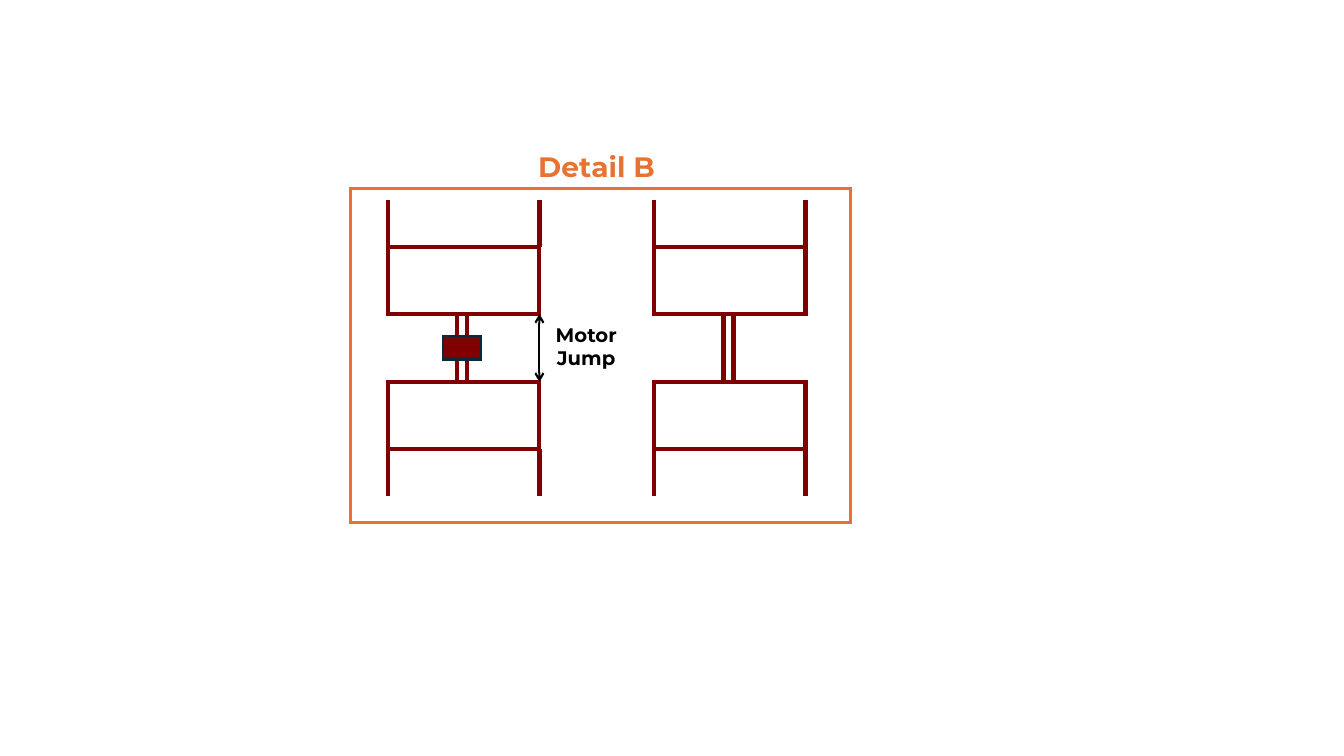
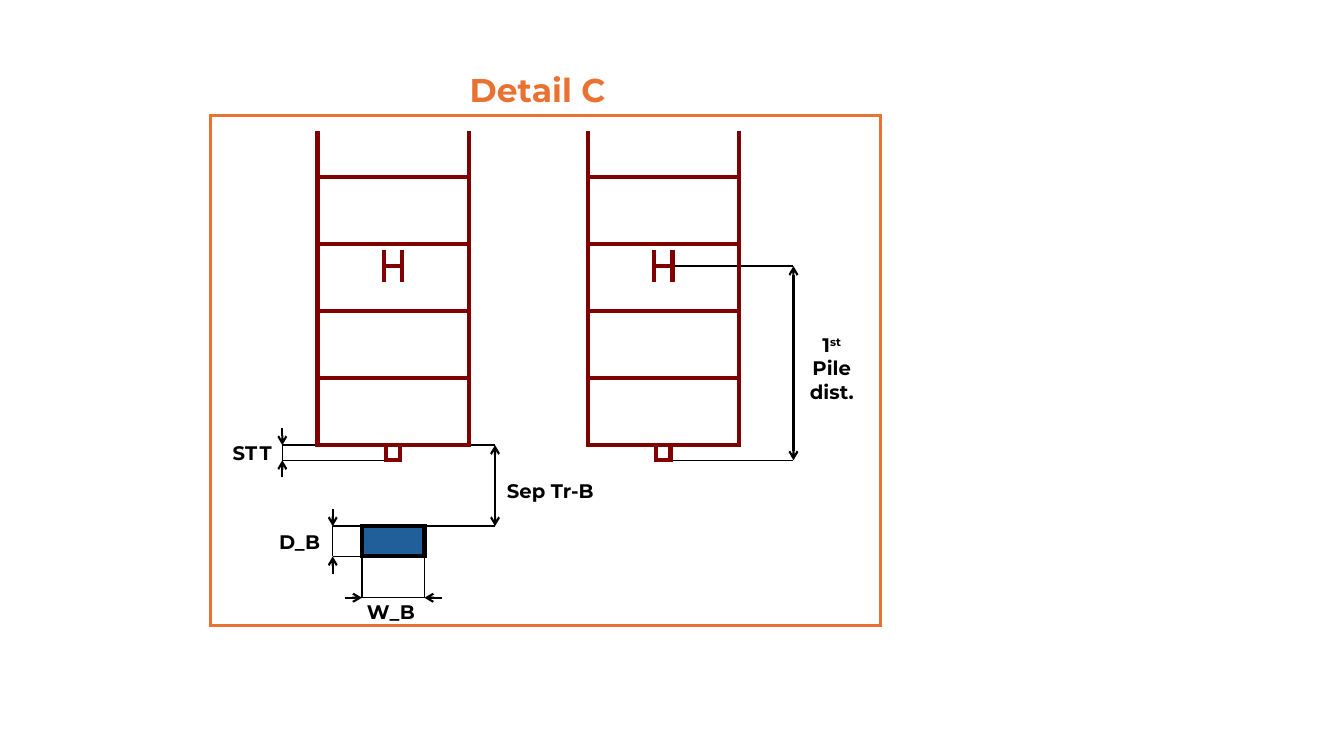
import pptx
import pptx.util
import pptx.dml.color
import pptx.enum.shapes
import pptx.enum.text
import pptx.oxml.ns
import lxml.etree

# Shared styles
COLORS = {"steel": "800000", "frame": "E97132", "ink": "000000",
          "motor_edge": "092A39", "barge": "215F9A"}
# Line styles: colour and width in points
STEEL = ("steel", 3)
FRAME = ("frame", 2.25)
MOTOR_EDGE = ("motor_edge", 1.5)
BARGE_EDGE = ("ink", 3)
DIMENSION = ("ink", 1.5)
EXTENSION = ("ink", 1)
BOTH_ENDS = ("headEnd", "tailEnd")
END_ONLY = ("tailEnd",)
LABEL_FORMAT = {"name": "Montserrat", "bold": True}
LABEL_SIZE = 14
SUPERSCRIPT = 30000

presentation = pptx.Presentation()
presentation.slide_width = pptx.util.Inches(13.33)
presentation.slide_height = pptx.util.Inches(7.5)
blank_layout = presentation.slide_layouts[6]

# Grid: 75 rows of square cells; every length counts cells
CELL = presentation.slide_height / 75
BAY_WIDTH, BAY_HEIGHT = 15, 6.64
LEG = 4.65  # cut-off chord beyond the last bay
ARROW_TAIL = 1.7
LABEL_HEIGHT = 3.4


def add_box(slide, left, top, width, height, line=STEEL, fill=None):
    shape = slide.shapes.add_shape(
        pptx.enum.shapes.MSO_SHAPE.RECTANGLE,
        *[round(value * CELL) for value in (left, top, width, height)])
    shape.shadow.inherit = False
    color, points = line
    shape.line.color.rgb = pptx.dml.color.RGBColor.from_string(COLORS[color])
    shape.line.width = pptx.util.Pt(points)
    # Square corners
    lxml.etree.SubElement(shape.line._get_or_add_ln(),
                          pptx.oxml.ns.qn("a:miter"), lim="800000")
    if fill:
        shape.fill.solid()
        shape.fill.fore_color.rgb = pptx.dml.color.RGBColor.from_string(COLORS[fill])
    else:
        shape.fill.background()


def add_line(slide, x1, y1, x2, y2, line=STEEL, arrows=()):
    connector = slide.shapes.add_connector(
        pptx.enum.shapes.MSO_CONNECTOR.STRAIGHT,
        *[round(value * CELL) for value in (x1, y1, x2, y2)])
    color, points = line
    connector.line.color.rgb = pptx.dml.color.RGBColor.from_string(COLORS[color])
    connector.line.width = pptx.util.Pt(points)
    for end in arrows:
        lxml.etree.SubElement(connector.line._get_or_add_ln(),
                              pptx.oxml.ns.qn("a:" + end), type="arrow")
    lxml.etree.SubElement(connector._element.spPr, pptx.oxml.ns.qn("a:effectLst"))


# Detail B: two trusses, each split by a gap that a rail bridges
detail_b = presentation.slides.add_slide(blank_layout)
motor_truss, plain_truss = 38.5, 64.9
upper_bay, lower_bay = 24.5, 37.9
gap_top = upper_bay + BAY_HEIGHT
gap_height = lower_bay - gap_top
rail_offset, rail_width = 6.85, 1

for truss_left in (motor_truss, plain_truss):
    for chord in (truss_left, truss_left + BAY_WIDTH):
        for bay_edge, outward in ((upper_bay, -1), (lower_bay + BAY_HEIGHT, 1)):
            add_line(detail_b, chord, bay_edge, chord, bay_edge + outward * LEG)
    for bay_top in (upper_bay, lower_bay):
        add_box(detail_b, truss_left, bay_top, BAY_WIDTH, BAY_HEIGHT)
    add_box(detail_b, truss_left + rail_offset, gap_top, rail_width, gap_height)

# Motor, centred on its rail and in the gap, and the jump beside it
motor_width, motor_height = 3.8, 2.3
add_box(detail_b,
        motor_truss + rail_offset + (rail_width - motor_width) / 2,
        gap_top + (gap_height - motor_height) / 2,
        motor_width, motor_height, MOTOR_EDGE, "steel")
jump_x = motor_truss + BAY_WIDTH
add_line(detail_b, jump_x, lower_bay, jump_x, gap_top, DIMENSION, BOTH_ENDS)

# Detail C: named edges that trusses, barge and dimensions share
detail_c = presentation.slides.add_slide(blank_layout)
left_truss, right_truss = 31.5, 58.3
truss_top, bay_count = 17.6, 4
truss_bottom = truss_top + bay_count * BAY_HEIGHT
stub_offset, stub_width, stub_height = 6.8, 1.4, 1.5
stub_bottom = truss_bottom + stub_height
pile_offset, pile_width, pile_height = 6.6, 1.8, 3.2
pile_middle = 26.4
barge_left, barge_top, barge_width, barge_height = 35.9, 52.2, 6.2, 3
barge_right = barge_left + barge_width
barge_bottom = barge_top + barge_height
stub_gauge_x, depth_gauge_x = 28, 33
width_gauge_y = 59.3
separation_x, pile_distance_x = 49.1, 78.7

# Long dimensions: arrow with both heads inside, extension from each edge
for x, (top, top_start), (bottom, bottom_start) in (
        (separation_x, (truss_bottom, left_truss + BAY_WIDTH),
         (barge_top, barge_right)),
        (pile_distance_x, (pile_middle, right_truss + pile_offset + pile_width),
         (stub_bottom, right_truss + stub_offset + stub_width))):
    add_line(detail_c, top_start, top, x, top, EXTENSION)
    add_line(detail_c, bottom_start, bottom, x, bottom, EXTENSION)
    add_line(detail_c, x, bottom, x, top, DIMENSION, BOTH_ENDS)

# Short upright dimensions: arrows point inwards from outside
for x, (top, top_start), (bottom, bottom_start) in (
        (stub_gauge_x, (truss_bottom, left_truss),
         (stub_bottom, left_truss + stub_offset)),
        (depth_gauge_x, (barge_top, barge_left), (barge_bottom, barge_left))):
    add_line(detail_c, x, top, x, bottom, EXTENSION)
    for edge, start, outward in ((top, top_start, -1), (bottom, bottom_start, 1)):
        add_line(detail_c, start, edge, x, edge, EXTENSION)
        add_line(detail_c, x, edge + outward * ARROW_TAIL, x, edge,
                 DIMENSION, END_ONLY)

# Barge width: the same rule, lying flat
add_line(detail_c, barge_left, width_gauge_y, barge_right, width_gauge_y, EXTENSION)
for edge, outward in ((barge_left, -1), (barge_right, 1)):
    add_line(detail_c, edge, barge_bottom, edge, width_gauge_y, EXTENSION)
    add_line(detail_c, edge + outward * ARROW_TAIL, width_gauge_y,
             edge, width_gauge_y, DIMENSION, END_ONLY)

# Trusses, each with an H pile and a stub, then the barge
for truss_left in (left_truss, right_truss):
    for bay in range(bay_count):
        add_box(detail_c, truss_left, truss_top + bay * BAY_HEIGHT,
                BAY_WIDTH, BAY_HEIGHT)
    for chord in (truss_left, truss_left + BAY_WIDTH):
        add_line(detail_c, chord, truss_top, chord, truss_top - LEG)
    add_box(detail_c, truss_left + stub_offset, truss_bottom, stub_width, stub_height)
    pile_left = truss_left + pile_offset
    pile_right = pile_left + pile_width
    for flange in (pile_left, pile_right):
        add_line(detail_c, flange, pile_middle - pile_height / 2,
                 flange, pile_middle + pile_height / 2)
    add_line(detail_c, pile_left, pile_middle, pile_right, pile_middle)
add_box(detail_c, barge_left, barge_top, barge_width, barge_height,
        BARGE_EDGE, "barge")

# Frames, each with its title above: slide, frame box, title box, title, size
LEFT = pptx.enum.text.PP_ALIGN.LEFT
CENTER = pptx.enum.text.PP_ALIGN.CENTER
labels = []
for slide, frame, title_box, title, size in (
        (detail_b, (34.8, 18.7, 49.6, 33.1), (52.4, 14.3, 15.7, 4.4), "Detail B", 20),
        (detail_c, (20.9, 11.5, 66.4, 50.6), (45.6, 6.4, 16.4, 5), "Detail C", 23.5)):
    add_box(slide, *frame, FRAME)
    labels.append((slide, title_box, LEFT, "frame", [(title, {"size": size})]))

# Dimension labels, placed by the edges they measure
labels += [
    (detail_b, (jump_x, gap_top + 0.4, 9.3, 5.7), CENTER, "ink",
     [("Motor Jump", {})]),
    (detail_c, (pile_distance_x + 0.1, 32.5, 7.4, 8.1), CENTER, "ink",
     [("1", {}), ("st", {"baseline": SUPERSCRIPT}), (" Pile dist.", {})]),
    (detail_c, (stub_gauge_x - 5.9, truss_bottom - 0.95, 6.8, LABEL_HEIGHT),
     LEFT, "ink", [("ST", {}), (" ", {"size": 6}), ("T", {})]),
    (detail_c, (separation_x + 0.2, 47, 11.3, LABEL_HEIGHT), LEFT, "ink",
     [("Sep Tr-B", {})]),
    (detail_c, (depth_gauge_x - 6.3, barge_top - 0.1, 6.9, LABEL_HEIGHT),
     LEFT, "ink", [("D_B", {})]),
    (detail_c, (barge_left - 0.5, width_gauge_y - 0.3, 7.1, LABEL_HEIGHT),
     LEFT, "ink", [("W_B", {})]),
]
for slide, place, alignment, color, runs in labels:
    text_box = slide.shapes.add_textbox(*[round(value * CELL) for value in place])
    text_box.text_frame.word_wrap = True
    paragraph = text_box.text_frame.paragraphs[0]
    paragraph.alignment = alignment
    for text, changes in runs:
        run = paragraph.add_run()
        run.text = text
        for name, value in LABEL_FORMAT.items():
            setattr(run.font, name, value)
        run.font.size = pptx.util.Pt(changes.get("size", LABEL_SIZE))
        run.font.color.rgb = pptx.dml.color.RGBColor.from_string(COLORS[color])
        if "baseline" in changes:
            run._r.get_or_add_rPr().set("baseline", str(changes["baseline"]))

presentation.save("out.pptx")
